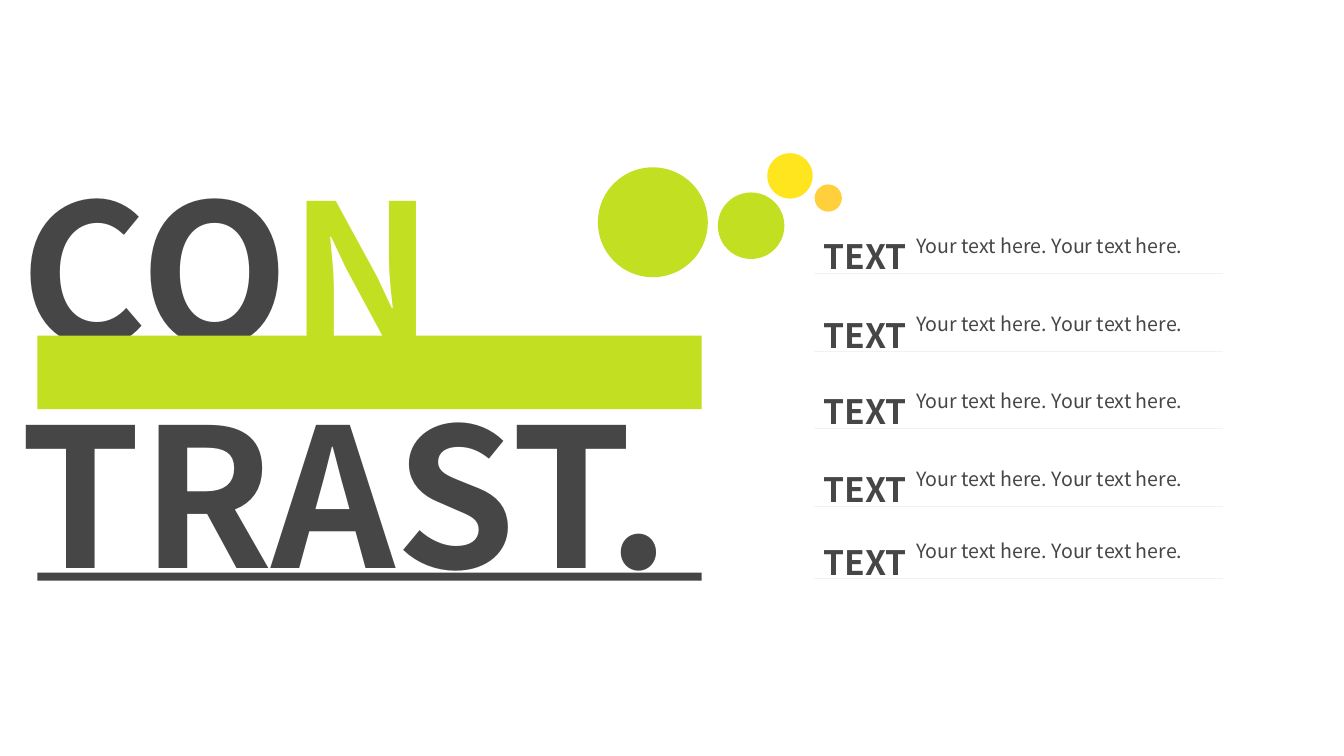
from dataclasses import dataclass

from lxml import etree
from pptx import Presentation
from pptx.dml.color import RGBColor
from pptx.enum.shapes import MSO_CONNECTOR, MSO_SHAPE
from pptx.enum.text import MSO_AUTO_SIZE
from pptx.oxml.ns import qn
from pptx.util import Inches, Pt

STRAIGHT = MSO_CONNECTOR.STRAIGHT
RECTANGLE = MSO_SHAPE.RECTANGLE
OVAL = MSO_SHAPE.OVAL
FIT_SHAPE = MSO_AUTO_SIZE.SHAPE_TO_FIT_TEXT


@dataclass(frozen=True)
class Theme:
    font: str = "Noto Sans CJK SC"
    dark: str = "464646"
    lime: str = "C3DF21"
    yellow: str = "FFE51E"
    amber: str = "FFD03B"
    rule: str = "F2F2F2"
    title_size: int = 138
    label_size: int = 24
    body_size: int = 14
    label_spacing: int = 65
    rule_width: float = 0.5


class SlideBuilder:
    def __init__(self, page, theme):
        self.page = page
        self.theme = theme

    def group(self):
        return self.page.shapes.add_group_shape().shapes

    def text(self, shapes, area, spans, size, bold=False, spacing=None, wrap=True):
        box = shapes.add_textbox(*map(Inches, area))
        frame = box.text_frame
        frame.word_wrap = wrap
        frame.auto_size = FIT_SHAPE
        para = frame.paragraphs[0]
        para.font.name = self.theme.font
        para.font.size = Pt(size)
        para.font.bold = bold
        if spacing:
            para.line_spacing = Pt(spacing)
        for words, color in spans:
            span = para.add_run()
            span.text = words
            span.font.color.rgb = RGBColor.from_string(color)

    def shape(self, shapes, kind, area, color):
        shape = shapes.add_shape(kind, *map(Inches, area))
        shape.shadow.inherit = False
        shape.fill.solid()
        shape.fill.fore_color.rgb = RGBColor.from_string(color)
        shape.line.fill.background()

    def rule(self, left, right, top):
        line = self.page.shapes.add_connector(
            STRAIGHT, Inches(left), Inches(top), Inches(right), Inches(top)
        )
        line.line.color.rgb = RGBColor.from_string(self.theme.rule)
        line.line.width = Pt(self.theme.rule_width)
        etree.SubElement(line._element.spPr, qn("a:effectLst"))

    def title(self):
        theme = self.theme
        shapes = self.page.shapes
        self.text(shapes, (0.11, 1.45, 6.85, 2.42),
                  [("CO", theme.dark), ("N", theme.lime)], theme.title_size, bold=True)
        self.text(shapes, (0.11, 3.67, 6.96, 2.42),
                  [("TRAST.", theme.dark)], theme.title_size, bold=True, wrap=False)
        self.shape(shapes, RECTANGLE, (0.37, 5.68, 6.59, 0.08), theme.dark)

    def circles(self):
        theme = self.theme
        shapes = self.group()
        for left, top, diameter, color in (
            (5.93, 1.66, 1.09, theme.lime),
            (7.12, 1.91, 0.66, theme.lime),
            (7.61, 1.52, 0.45, theme.yellow),
            (8.08, 1.83, 0.27, theme.amber),
        ):
            self.shape(shapes, OVAL, (left, top, diameter, diameter), color)

    def item(self, top):
        theme = self.theme
        shapes = self.group()
        self.text(shapes, (8.07, top, 1.85, 0.86), [("TEXT", theme.dark)],
                  theme.label_size, bold=True, spacing=theme.label_spacing)
        self.text(shapes, (8.99, top + 0.48, 3.29, 0.34),
                  [("Your text here. Your text here.", theme.dark)], theme.body_size)
        self.rule(8.07, 12.13, top + 0.92)


def main():
    deck = Presentation()
    deck.slide_width = Inches(13.33)
    deck.slide_height = Inches(7.5)
    theme = Theme()
    builder = SlideBuilder(deck.slides.add_slide(deck.slide_layouts[6]), theme)
    builder.title()
    builder.circles()
    builder.shape(builder.page.shapes, RECTANGLE, (0.37, 3.33, 6.59, 0.73), theme.lime)
    for top in (1.79, 2.57, 3.33, 4.1, 4.82):
        builder.item(top)
    deck.save("out.pptx")


if __name__ == "__main__":
    main()
